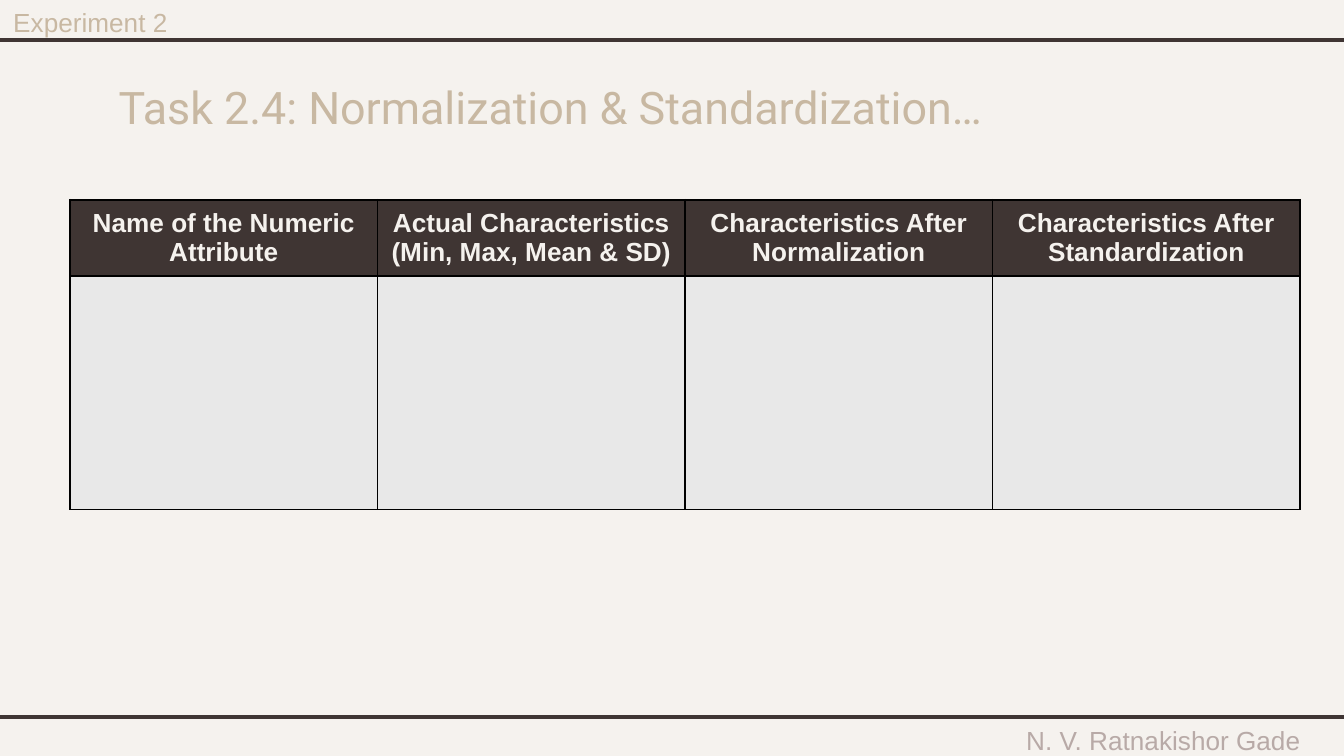
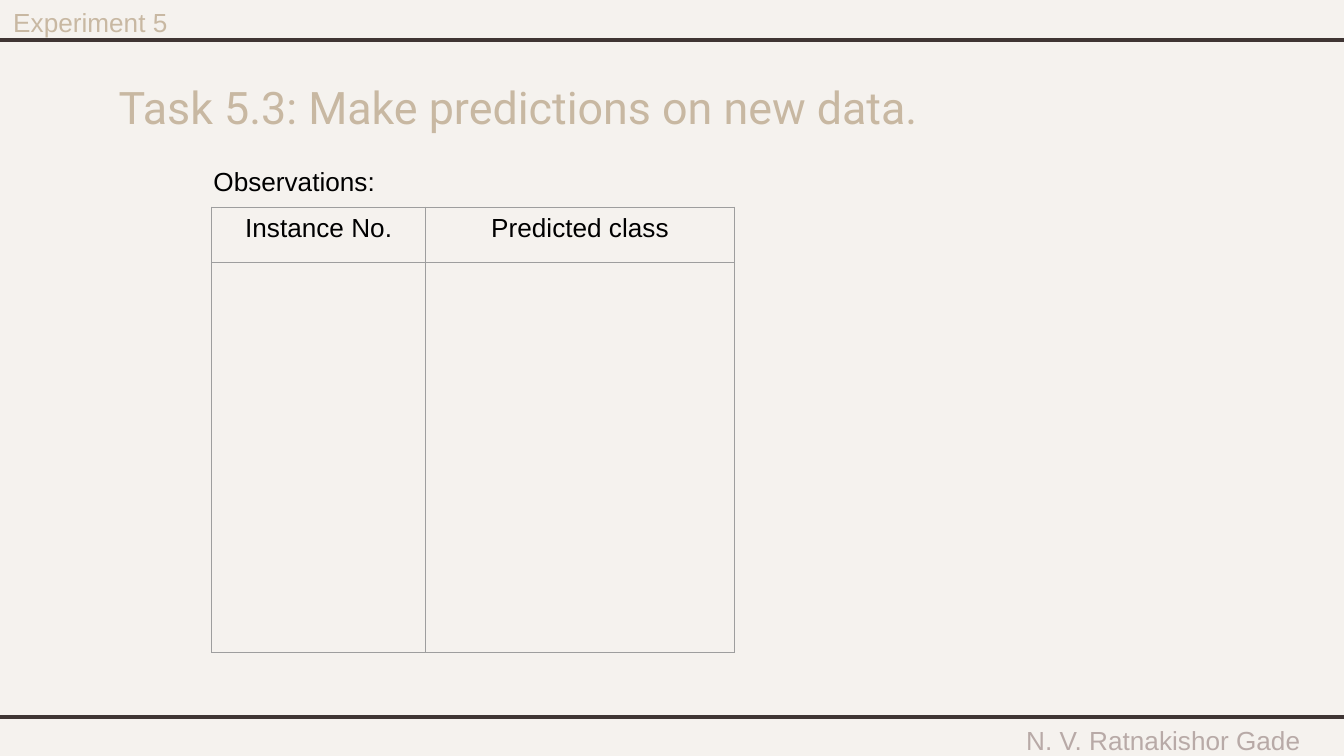
from dataclasses import dataclass

from lxml import etree
from pptx import Presentation
from pptx.dml.color import RGBColor
from pptx.enum.shapes import MSO_CONNECTOR
from pptx.enum.text import MSO_ANCHOR, PP_ALIGN
from pptx.oxml.ns import qn
from pptx.util import Pt

LEFT, CENTER = PP_ALIGN.LEFT, PP_ALIGN.CENTER
TOP, MIDDLE = MSO_ANCHOR.TOP, MSO_ANCHOR.MIDDLE
STRAIGHT = MSO_CONNECTOR.STRAIGHT


@dataclass(frozen=True)
class Theme:
    paper: str = "F5F2EE"
    dark: str = "3F3533"
    sand: str = "C8B8A2"
    muted: str = "B8AAA7"
    black: str = "000000"
    cell: str = "E8E8E8"
    grid: str = "9E9E9E"
    body_font: str = "Arial"
    title_font: str = "Roboto"
    body_size: float = 14
    title_size: float = 24
    rule: float = 2.25


THEME = Theme()


def write(tf, text, color=THEME.black, size=THEME.body_size,
          font=THEME.body_font, bold=False, align=LEFT):
    for i, line in enumerate(text.split("\n")):
        p = tf.add_paragraph() if i else tf.paragraphs[0]
        p.alignment = align
        r = p.add_run()
        r.text = line
        r.font.name = font
        r.font.size = Pt(size)
        r.font.bold = bold
        r.font.color.rgb = RGBColor.from_string(color)


class Deck:
    def __init__(self, width, height):
        self.t = THEME
        self.prs = Presentation()
        self.prs.slide_width, self.prs.slide_height = Pt(width), Pt(height)
        self.width = width

    def slide(self, experiment, title):
        self.s = self.prs.slides.add_slide(self.prs.slide_layouts[6])
        fill = self.s.background.fill
        fill.solid()
        fill.fore_color.rgb = RGBColor.from_string(self.t.paper)
        self.text("N. V. Ratnakishor Gade", 526.5, 389.5, 193.5, 13.5,
                  anchor=MIDDLE, inset=0, color=self.t.muted, align=CENTER)
        for y in (21.5, 384):
            self.rule(y)
        self.text(title, 56.5, 35.5, 590, 45, inset=7.2, color=self.t.sand,
                  size=self.t.title_size, font=self.t.title_font)
        self.text(experiment, 0, 0, 98, 24.5, wrap=False, color=self.t.sand)

    def text(self, text, x, y, w, h, anchor=TOP, wrap=True, inset=3.6, **fmt):
        sp = self.s.shapes.add_textbox(Pt(x), Pt(y), Pt(w), Pt(h))
        tf = sp.text_frame
        tf.word_wrap = wrap
        tf.vertical_anchor = anchor
        tf.margin_top = tf.margin_bottom = Pt(inset)
        write(tf, text, **fmt)

    def rule(self, y):
        cx = self.s.shapes.add_connector(
            STRAIGHT, Pt(-6), Pt(y), Pt(self.width + 6), Pt(y))
        cx.line.color.rgb = RGBColor.from_string(self.t.dark)
        cx.line.width = Pt(self.t.rule)
        etree.SubElement(cx._element.spPr, qn("a:effectLst"))

    def border(self, cell, color, width):
        tc_pr = cell._tc.get_or_add_tcPr()
        for side in ("L", "R", "T", "B"):
            ln = etree.SubElement(tc_pr, qn(f"a:ln{side}"), w=str(Pt(width)))
            fill = etree.SubElement(ln, qn("a:solidFill"))
            etree.SubElement(fill, qn("a:srgbClr"), val=color)

    def table(self, headers, x, y, widths, heights, line, line_width,
              fills=(None, None), anchor=TOP, **fmt):
        table = self.s.shapes.add_table(
            len(heights), len(widths), Pt(x), Pt(y),
            Pt(sum(widths)), Pt(sum(heights))).table
        table.horz_banding = False
        for col, w in zip(table.columns, widths):
            col.width = Pt(w)
        for row, h, color in zip(table.rows, heights, fills):
            row.height = Pt(h)
            for cell in row.cells:
                self.border(cell, line, line_width)
                if color:
                    cell.fill.solid()
                    cell.fill.fore_color.rgb = RGBColor.from_string(color)
                else:
                    cell.fill.background()
        for cell, header in zip(table.rows[0].cells, headers):
            cell.vertical_anchor = anchor
            write(cell.text_frame, header, align=CENTER, **fmt)


def main():
    deck = Deck(720, 405)

    deck.slide("Experiment 2", "Task 2.4: Normalization & Standardization…")
    deck.table(
        ["Name of the Numeric Attribute",
         "Actual Characteristics\n(Min, Max, Mean & SD)",
         "Characteristics After Normalization",
         "Characteristics After Standardization"],
        37.5, 107, [164.75] * 4, [41, 125], THEME.black, 1,
        fills=(THEME.dark, THEME.cell), anchor=MIDDLE,
        color=THEME.paper, bold=True)

    deck.slide("Experiment 5", "Task 5.3: Make predictions on new data.")
    deck.text("Observations:", 107.25, 85, 125, 24.5)
    deck.table(["Instance No.", "Predicted class"], 113.5, 111,
               [114.5, 165.5], [29.5, 209], THEME.grid, 0.75)

    deck.prs.save("out.pptx")


if __name__ == "__main__":
    main()
